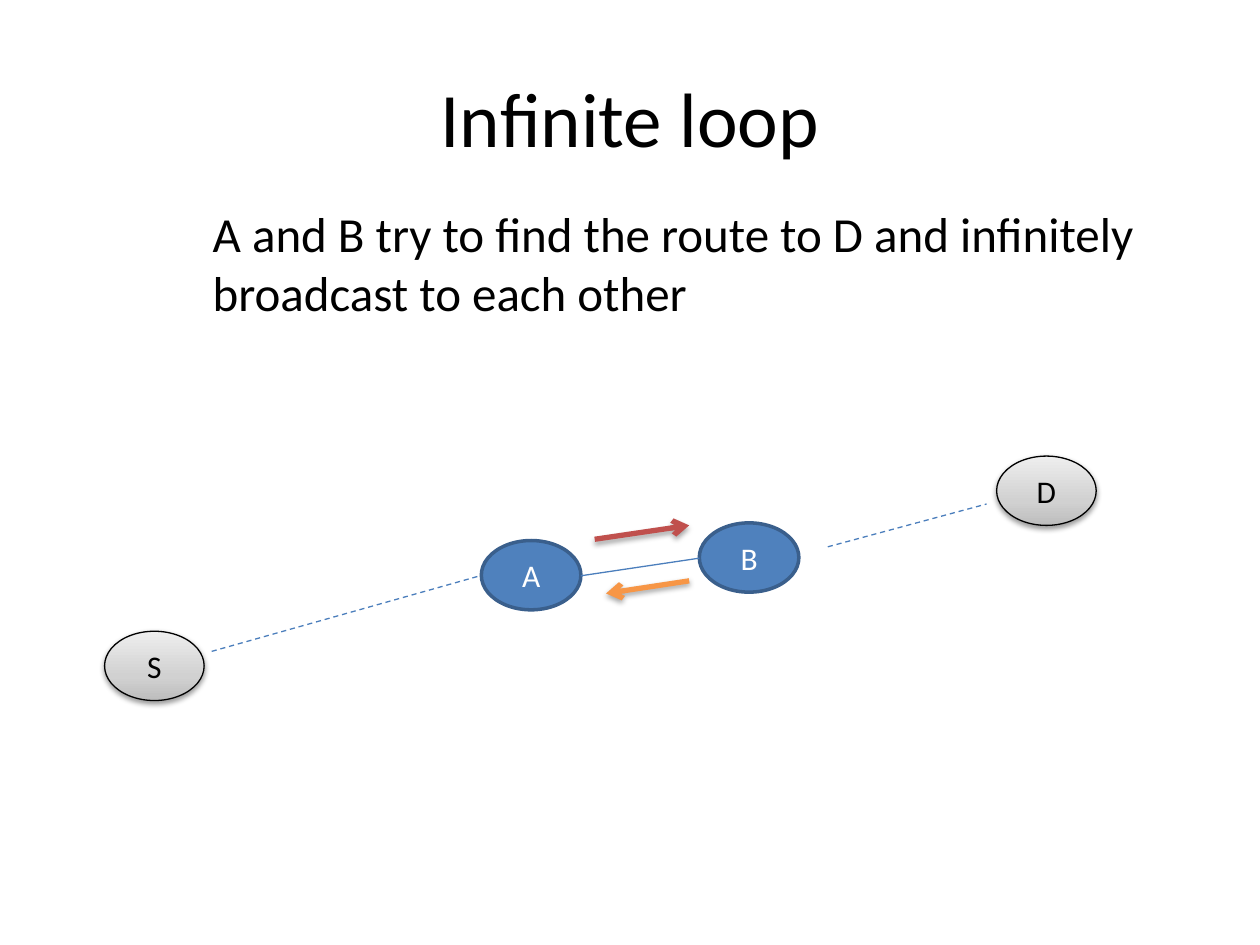
from dataclasses import dataclass

from lxml.etree import SubElement
from pptx import Presentation
from pptx.dml.color import RGBColor
from pptx.enum.dml import MSO_LINE
from pptx.enum.shapes import MSO_CONNECTOR, MSO_SHAPE
from pptx.enum.text import MSO_ANCHOR, MSO_AUTO_SIZE, PP_ALIGN
from pptx.oxml.ns import qn
from pptx.util import Inches, Pt


@dataclass(frozen=True)
class Theme:
    font: str = "Calibri"
    title_size: int = 44
    body_size: int = 28
    label_size: int = 18
    ink: str = "000000"
    paper: str = "FFFFFF"
    relay: str = "4F81BD"
    relay_edge: str = "3A5F8C"
    link: str = "4B7EBC"
    outbound: str = "C0504D"
    inbound: str = "F79646"
    endpoint: tuple = ((0, "BDBDBD"), (35, "D1D1D1"), (100, "EEEEEE"))


def set_all(target, values):
    for name, value in values.items():
        setattr(target, name, value)


def add_color(parent, color, alpha=None):
    node = SubElement(parent, qn("a:srgbClr"), val=color)
    if alpha is not None:
        SubElement(node, qn("a:alpha"), val=str(alpha * 1000))


class NetworkSlide:
    def __init__(self, slide, theme):
        self.shapes = slide.shapes
        self.theme = theme

    def fill_text(self, shape, lines, size, color, align, frame_format):
        frame = shape.text_frame
        set_all(frame, frame_format)
        frame.text = "\n".join(lines)
        for paragraph in frame.paragraphs:
            paragraph.alignment = align
            font = paragraph.runs[0].font
            set_all(font, {"name": self.theme.font, "size": Pt(size)})
            font.color.rgb = RGBColor.from_string(color)

    def text(self, lines, box, size, align, frame_format):
        shape = self.shapes.add_textbox(*map(Inches, box))
        self.fill_text(shape, lines, size, self.theme.ink, align, frame_format)

    def shadow(self, effects, alpha, distance):
        shade = SubElement(effects, qn("a:outerShdw"), blurRad=str(Pt(3.1)),
                           dist=str(Pt(distance)), dir="5400000", rotWithShape="0")
        add_color(shade, self.theme.ink, alpha)

    def node(self, label, left, top, endpoint=False):
        theme = self.theme
        oval = self.shapes.add_shape(
            MSO_SHAPE.OVAL, *map(Inches, (left, top, 0.79, 0.55)))
        oval.shadow.inherit = False
        edge, width = (theme.ink, 0.75) if endpoint else (theme.relay_edge, 2)
        oval.line.color.rgb = RGBColor.from_string(edge)
        oval.line.width = Pt(width)
        if endpoint:
            oval.fill.gradient()
            oval.fill.gradient_angle = 90
            stops = oval._element.spPr.find(".//" + qn("a:gsLst"))
            for stop in list(stops):
                stops.remove(stop)
            for position, color in theme.endpoint:
                add_color(SubElement(stops, qn("a:gs"), pos=str(position * 1000)), color)
            self.shadow(oval._element.spPr.find(qn("a:effectLst")), 38, 1.6)
        else:
            oval.fill.solid()
            oval.fill.fore_color.rgb = RGBColor.from_string(theme.relay)
        self.fill_text(oval, [label], theme.label_size, theme.ink if endpoint else theme.paper,
                       PP_ALIGN.CENTER, {"vertical_anchor": MSO_ANCHOR.MIDDLE, "word_wrap": True})

    def link(self, start, end, color, line_format, arrow=False):
        connector = self.shapes.add_connector(
            MSO_CONNECTOR.STRAIGHT, *map(Inches, start + end))
        connector.line.color.rgb = RGBColor.from_string(color)
        set_all(connector.line, line_format)
        properties = connector._element.spPr
        effects = SubElement(properties, qn("a:effectLst"))
        if arrow:
            SubElement(properties.find(qn("a:ln")), qn("a:tailEnd"), type="arrow")
            self.shadow(effects, 35, 1.8)


theme = Theme()
presentation = Presentation()
set_all(presentation, {"slide_width": Inches(10), "slide_height": Inches(7.5)})
network = NetworkSlide(presentation.slides.add_slide(presentation.slide_layouts[6]), theme)

network.text(["Infinite loop"], (0.5, 0.3, 9, 1.25), theme.title_size, PP_ALIGN.CENTER,
             {"word_wrap": True, "vertical_anchor": MSO_ANCHOR.MIDDLE})
network.text(["A and B try to find the route to D and infinitely", "broadcast to each other"],
             (1.59, 1.57, 7.6, 1.04), theme.body_size, PP_ALIGN.LEFT,
             {"word_wrap": False, "auto_size": MSO_AUTO_SIZE.SHAPE_TO_FIT_TEXT})

for label, left, top, endpoint in (
    ("A", 3.82, 4.29, False),
    ("S", 0.83, 5.01, True),
    ("B", 5.55, 4.15, False),
    ("D", 7.91, 3.62, True),
):
    network.node(label, left, top, endpoint)

solid = {"width": Pt(0.75)}
dashed = {**solid, "dash_style": MSO_LINE.DASH}
thick = {"width": Pt(3)}
for start, end, color, line_format, arrow in (
    ((1.68, 5.17), (3.81, 4.57), theme.link, dashed, False),
    ((4.61, 4.57), (5.55, 4.43), theme.link, solid, False),
    ((4.72, 4.28), (5.47, 4.17), theme.outbound, thick, True),
    ((5.47, 4.61), (4.81, 4.71), theme.inbound, thick, True),
    ((6.57, 4.34), (7.83, 4), theme.link, dashed, False),
):
    network.link(start, end, color, line_format, arrow)

presentation.save("out.pptx")
